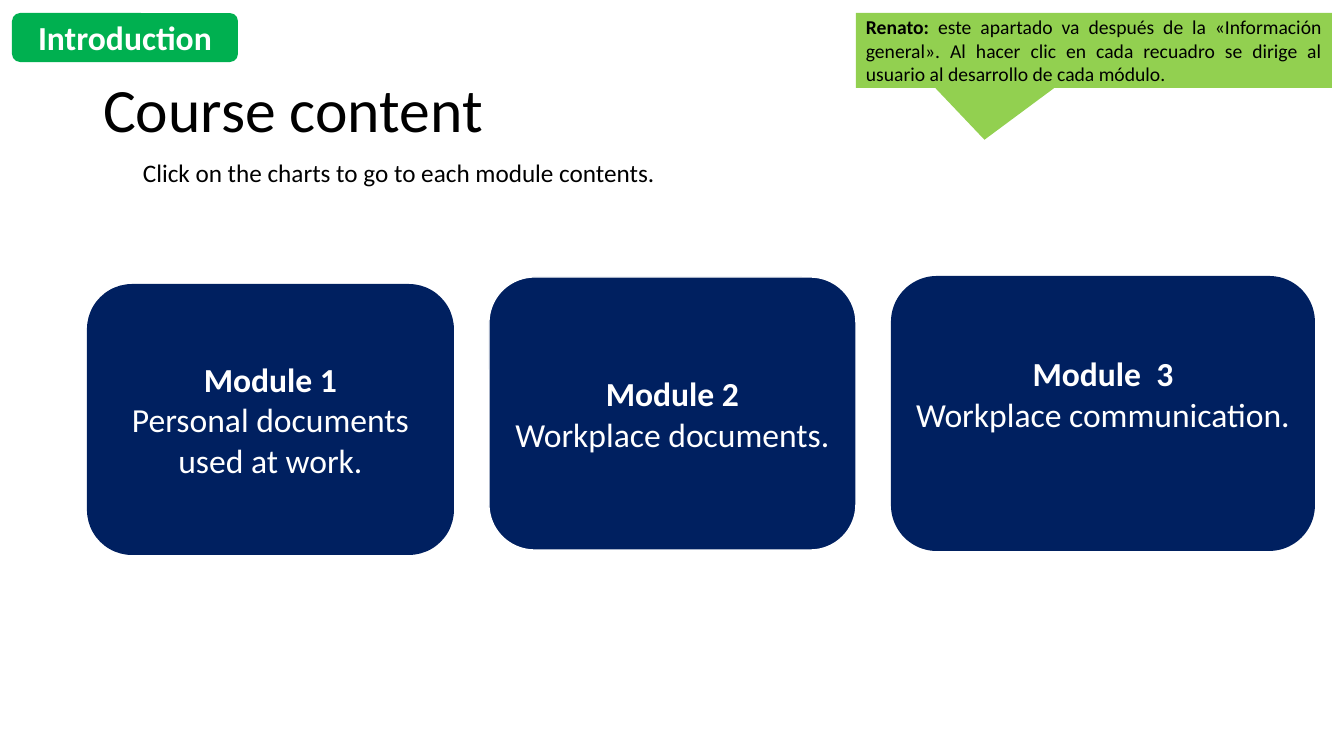
import pptx
import pptx.util
import pptx.dml.color
import pptx.enum.shapes
import pptx.enum.text

PX = 914400 / 100.8
SHAPES = pptx.enum.shapes.MSO_SHAPE
ALIGN = pptx.enum.text.PP_ALIGN
ANCHOR = pptx.enum.text.MSO_ANCHOR
FONT = "Calibri"
BLACK, WHITE, NAVY = "000000", "FFFFFF", "002060"
GREEN, LIME = "00B050", "92D050"


def px(length):
    """Turn a length in pixels into EMU."""
    return pptx.util.Emu(round(length * PX))


def color(hex_string):
    """Return the colour for a hex string."""
    return pptx.dml.color.RGBColor.from_string(hex_string)


def format_run(run, size, hex_string, bold=False):
    """Set the font, size, colour and weight of a run."""
    run.font.name = FONT
    run.font.size = pptx.util.Pt(size)
    run.font.color.rgb = color(hex_string)
    run.font.bold = bold


def add_panel(slide, preset, box, fill, border=None):
    """Add a filled shape with middle-anchored text and return it."""
    panel = slide.shapes.add_shape(preset, *map(px, box))
    panel.shadow.inherit = False
    panel.fill.solid()
    panel.fill.fore_color.rgb = color(fill)
    if border:
        panel.line.color.rgb = color(border)
        panel.line.width = pptx.util.Pt(1)
    else:
        panel.line.fill.background()
    panel.text_frame.word_wrap = True
    panel.text_frame.vertical_anchor = ANCHOR.MIDDLE
    return panel


def write_lines(panel, lines):
    """Write centred white lines, the first one bold."""
    panel.text_frame.text = "\n".join(lines)
    for index, paragraph in enumerate(panel.text_frame.paragraphs):
        paragraph.alignment = ALIGN.CENTER
        format_run(paragraph.runs[0], 24, WHITE, bold=index == 0)


def add_title(slide, wording):
    """Place and format the title placeholder."""
    title = slide.shapes.title
    title.left, title.top, title.width, title.height = map(px, (93, 40, 1159, 146))
    title.text_frame.text = wording
    title.text_frame.vertical_anchor = ANCHOR.MIDDLE
    heading = title.text_frame.paragraphs[0]
    heading.alignment = ALIGN.LEFT
    heading.line_spacing = 0.9
    format_run(heading.runs[0], 44, BLACK)


def add_instruction(slide, wording):
    """Add the line of guidance under the title."""
    instruction = slide.shapes.add_textbox(*map(px, (133, 152, 826, 40)))
    instruction.text_frame.word_wrap = True
    instruction.text_frame.text = wording
    format_run(instruction.text_frame.paragraphs[0].runs[0], 18, BLACK)


def add_comment(slide, addressee, message):
    """Add the justified callout with a bold addressee."""
    callout = add_panel(slide, SHAPES.RECTANGULAR_CALLOUT, (856, 13, 476, 75), LIME)
    callout.adjustments[0] = -0.23
    callout.adjustments[1] = 1.19
    paragraph = callout.text_frame.paragraphs[0]
    paragraph.alignment = ALIGN.JUSTIFY
    for wording, bold in ((addressee, True), (message, False)):
        run = paragraph.add_run()
        run.text = wording
        format_run(run, 14, BLACK, bold)


def main():
    """Build the course content slide and save it."""
    deck = pptx.Presentation()
    deck.slide_width, deck.slide_height = px(1344), px(756)
    slide = deck.slides.add_slide(deck.slide_layouts[5])
    add_title(slide, "Course content")

    modules = (
        ((87, 284, 367, 271), None, 5, ("Module 1", "Personal documents used at work.")),
        ((489, 277, 367, 273), WHITE, 5, ("Module 2", "Workplace documents.")),
        ((891, 276, 424, 275), None, 45, ("Module  3", "Workplace communication.")),
    )
    for box, border, bottom_inset, lines in modules:
        module = add_panel(slide, SHAPES.ROUNDED_RECTANGLE, box, NAVY, border)
        module.text_frame.margin_bottom = px(bottom_inset)
        write_lines(module, lines)

    add_comment(
        slide,
        "Renato:",
        " este apartado va después de la «Información general». Al hacer clic en cada "
        "recuadro se dirige al usuario al desarrollo de cada módulo.",
    )
    add_instruction(slide, "Click on the charts to go to each module contents.")
    section = add_panel(slide, SHAPES.ROUNDED_RECTANGLE, (12, 13, 226, 49), GREEN)
    write_lines(section, ("Introduction",))
    deck.save("out.pptx")


if __name__ == "__main__":
    main()
